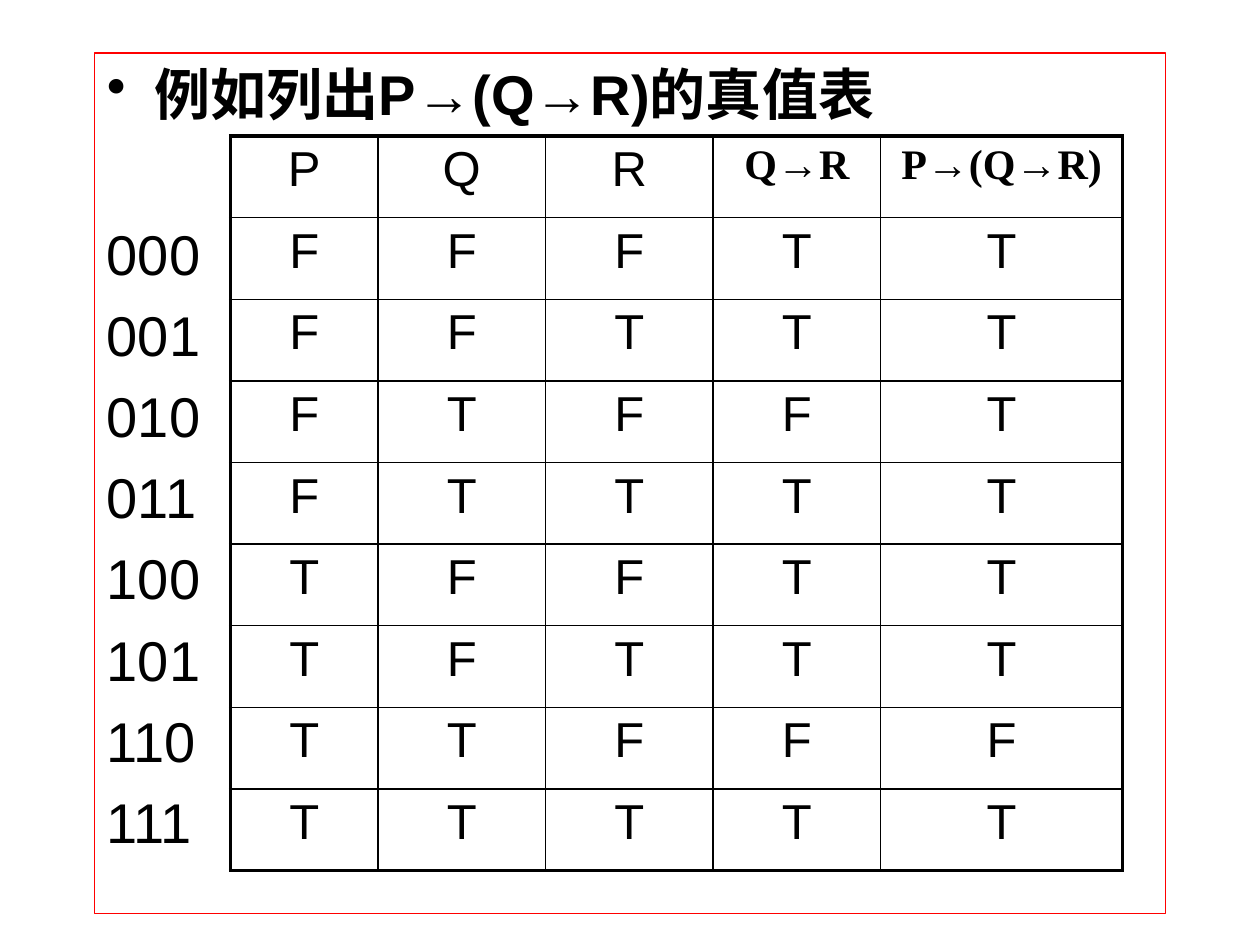
from itertools import product
from typing import NamedTuple

from lxml import etree
from pptx import Presentation
from pptx.dml.color import RGBColor
from pptx.enum.shapes import MSO_SHAPE
from pptx.enum.text import MSO_ANCHOR, PP_ALIGN
from pptx.oxml.ns import qn
from pptx.util import Inches, Pt

RECTANGLE = MSO_SHAPE.RECTANGLE
TOP = MSO_ANCHOR.TOP
LEFT, CENTER = PP_ALIGN.LEFT, PP_ALIGN.CENTER
BLACK = RGBColor(0, 0, 0)
RED = RGBColor(255, 0, 0)
THIN, THICK = 1, 2.25
LINE_GAP, FIRST_ROW_GAP = 8, 53


class Line(NamedTuple):
    text: str
    before: float = LINE_GAP
    bold: bool = False
    bullet: str = ""


class CellText(NamedTuple):
    text: str
    size: float = 28
    name: str = "Arial"
    bold: bool = False


def add_run(p, text: str, size: float, name: str, bold: bool) -> None:
    r = p.add_run()
    r.text = text
    for key, value in {"size": Pt(size), "name": name, "bold": bold}.items():
        setattr(r.font, key, value)
    r.font.color.rgb = BLACK


def add_line(p, line: Line) -> None:
    pPr = p._p.get_or_add_pPr()
    pPr.set("marL", str(Inches(0.38)))
    pPr.set("indent", str(-Inches(0.38)))
    if line.bullet:
        etree.SubElement(pPr, qn("a:buChar")).set("char", line.bullet)
    else:
        etree.SubElement(pPr, qn("a:buNone"))
    p.alignment = LEFT
    p.space_before = Pt(line.before)
    add_run(p, line.text, 32, "Arial", line.bold)


def add_body(s, lines: list[Line]) -> None:
    sp = s.shapes.add_shape(
        RECTANGLE, Inches(0.75), Inches(0.42), Inches(8.5), Inches(6.83))
    sp.shadow.inherit = False
    sp.fill.background()
    sp.line.color.rgb = RED
    sp.line.width = Pt(0.75)
    tf = sp.text_frame
    tf.word_wrap = True
    tf.vertical_anchor = TOP
    for i, line in enumerate(lines):
        add_line(tf.add_paragraph() if i else tf.paragraphs[0], line)


def set_borders(cell, widths: dict[str, float]) -> None:
    tcPr = cell._tc.get_or_add_tcPr()
    for side, width in widths.items():
        ln = etree.SubElement(tcPr, qn(f"a:ln{side}"), w=str(Pt(width)))
        fill = etree.SubElement(ln, qn("a:solidFill"))
        etree.SubElement(fill, qn("a:srgbClr"), val=str(BLACK))


def add_truth_table(s, rows: list[list[CellText]]) -> None:
    widths = [1.17, 1.33, 1.33, 1.33, 1.92]
    height = Inches(5.83)
    table = s.shapes.add_table(
        len(rows), len(widths), Inches(1.83), Inches(1.08),
        Inches(sum(widths)), height).table
    table.first_row = table.horz_banding = False
    for column, width in zip(table.columns, widths):
        column.width = Inches(width)
    for row in table.rows:
        row.height = height // len(rows)
    last_row, last_col = len(rows) - 1, len(widths) - 1
    for i, row in enumerate(rows):
        for j, content in enumerate(row):
            cell = table.cell(i, j)
            set_borders(cell, {
                "L": THICK if j == 0 else THIN,
                "R": THICK if j == last_col else THIN,
                "T": THICK if i == 0 else THIN,
                "B": THICK if i == last_row else THIN,
            })
            cell.fill.background()
            p = cell.text_frame.paragraphs[0]
            p.alignment = CENTER
            add_run(p, *content)


def implies(a: str, b: str) -> str:
    return "F" if (a, b) == ("T", "F") else "T"


def main() -> None:
    prs = Presentation()
    prs.slide_width, prs.slide_height = Inches(10), Inches(7.5)
    s = prs.slides.add_slide(prs.slide_layouts[6])

    codes = ["".join(bits) for bits in product("01", repeat=3)]
    title = Line("例如列出P→(Q→R)的真值表", before=0, bold=True, bullet="•")
    add_body(s, [title, Line(codes[0], before=FIRST_ROW_GAP),
                 *map(Line, codes[1:])])

    formulas = [CellText(text, 24, "Times New Roman", True)
                for text in ("Q→R", "P→(Q→R)")]
    rows = [[*map(CellText, "PQR"), *formulas]]
    for p, q, r in product("FT", repeat=3):
        inner = implies(q, r)
        rows.append([CellText(v) for v in (p, q, r, inner, implies(p, inner))])
    add_truth_table(s, rows)
    prs.save("out.pptx")


if __name__ == "__main__":
    main()
